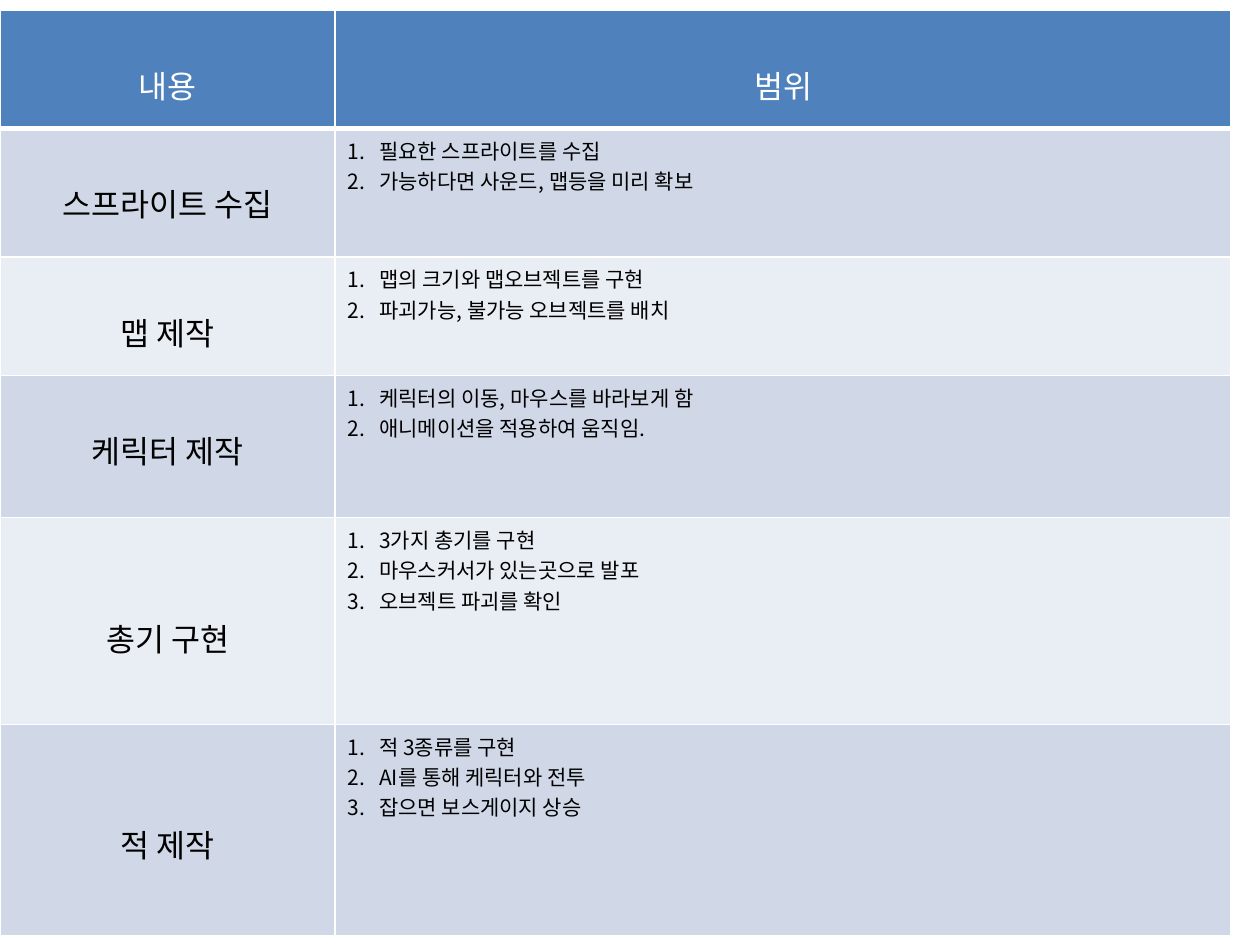
from lxml import etree
from pptx import Presentation
from pptx.dml.color import RGBColor
from pptx.enum.text import PP_ALIGN
from pptx.oxml.ns import qn
from pptx.util import Inches, Pt

CENTER, LEFT = PP_ALIGN.CENTER, PP_ALIGN.LEFT
FONT = "Noto Sans CJK KR"
COLORS = {
    "head": "4F81BD",
    "odd": "D0D8E8",
    "even": "E9EDF4",
    "white": "FFFFFF",
    "black": "000000",
}
COLS = [2.66, 7.11]
LINE = 0.36  # height of one 18 pt line
PAD = 0.05
INDENT = 0.25

HEAD = ("내용", "범위")
HEAD_HEIGHT = 0.94
# Row height, lines of space above the topic, topic, scope
TASKS = [
    (1.02, 1, "스프라이트 수집",
     ["필요한 스프라이트를 수집", "가능하다면 사운드, 맵등을 미리 확보"]),
    (0.94, 1, "맵 제작",
     ["맵의 크기와 맵오브젝트를 구현", "파괴가능, 불가능 오브젝트를 배치"]),
    (1.13, 1, "케릭터 제작",
     ["케릭터의 이동, 마우스를 바라보게 함", "애니메이션을 적용하여 움직임."]),
    (1.64, 2, "총기 구현",
     ["3가지 총기를 구현", "마우스커서가 있는곳으로 발포", "오브젝트 파괴를 확인"]),
    (1.68, 2, "적 제작",
     ["적 3종류를 구현", "AI를 통해 케릭터와 전투", "잡으면 보스게이지 상승"]),
]


def number(para):
    """Give a paragraph an automatic number with a hanging indent."""
    props = para._p.get_or_add_pPr()
    props.set("marL", str(Inches(INDENT)))
    props.set("indent", str(-Inches(INDENT)))
    etree.SubElement(props, qn("a:buFont"), typeface="+mj-lt")
    etree.SubElement(props, qn("a:buAutoNum"), type="arabicPeriod")


def write(frame, lines, size=18, color="black", align=CENTER, listed=False):
    """Fill a text frame with one paragraph for each line."""
    for i, line in enumerate(lines):
        para = frame.add_paragraph() if i else frame.paragraphs[0]
        para.alignment = align
        run = para.add_run()
        run.text = line
        run.font.size = Pt(size)
        run.font.bold = False
        run.font.name = FONT
        run.font.color.rgb = RGBColor.from_string(COLORS[color])
        etree.SubElement(run._r.get_or_add_rPr(), qn("a:ea"), typeface=FONT)
        if listed:
            number(para)


def edge(cell, top=1, bottom=1):
    """Draw white borders round a cell, widths in points."""
    props = cell._tc.get_or_add_tcPr()
    widths = {"lnL": 1, "lnR": 1, "lnT": top, "lnB": bottom}
    for i, (tag, width) in enumerate(widths.items()):
        line = etree.Element(qn(f"a:{tag}"), w=str(Pt(width)))
        fill = etree.SubElement(line, qn("a:solidFill"))
        etree.SubElement(fill, qn("a:srgbClr"), val=COLORS["white"])
        props.insert(i, line)


def paint(cell, color, drop=0, **widths):
    """Fill and border a cell, with its text dropped by some lines."""
    cell.fill.solid()
    cell.fill.fore_color.rgb = RGBColor.from_string(COLORS[color])
    cell.margin_top = Inches(PAD + drop * LINE)
    edge(cell, **widths)


def add_grid(slide):
    """Add the empty table with its column and row sizes."""
    rows = [HEAD_HEIGHT] + [task[0] for task in TASKS]
    frame = slide.shapes.add_table(
        len(rows), len(COLS), 0, Inches(0.08),
        Inches(sum(COLS)), Inches(sum(rows)))
    table = frame.table
    table.first_row = table.horz_banding = False
    for col, width in zip(table.columns, COLS):
        col.width = Inches(width)
    for row, height in zip(table.rows, rows):
        row.height = Inches(height)
    return table


def main():
    deck = Presentation()
    deck.slide_width, deck.slide_height = Inches(10), Inches(7.5)
    table = add_grid(deck.slides.add_slide(deck.slide_layouts[6]))

    # Header row
    for col, name in enumerate(HEAD):
        cell = table.cell(0, col)
        paint(cell, "head", drop=1, bottom=3)
        write(cell.text_frame, [name], color="white")

    # Topic and numbered scope of each task
    for row, (_, drop, topic, scope) in enumerate(TASKS, 1):
        band = "odd" if row % 2 else "even"
        top = 3 if row == 1 else 1
        left, right = table.cell(row, 0), table.cell(row, 1)
        paint(left, band, drop=drop, top=top)
        write(left.text_frame, [topic])
        paint(right, band, top=top)
        write(right.text_frame, scope, size=12, align=LEFT, listed=True)

    deck.save("out.pptx")


if __name__ == "__main__":
    main()
